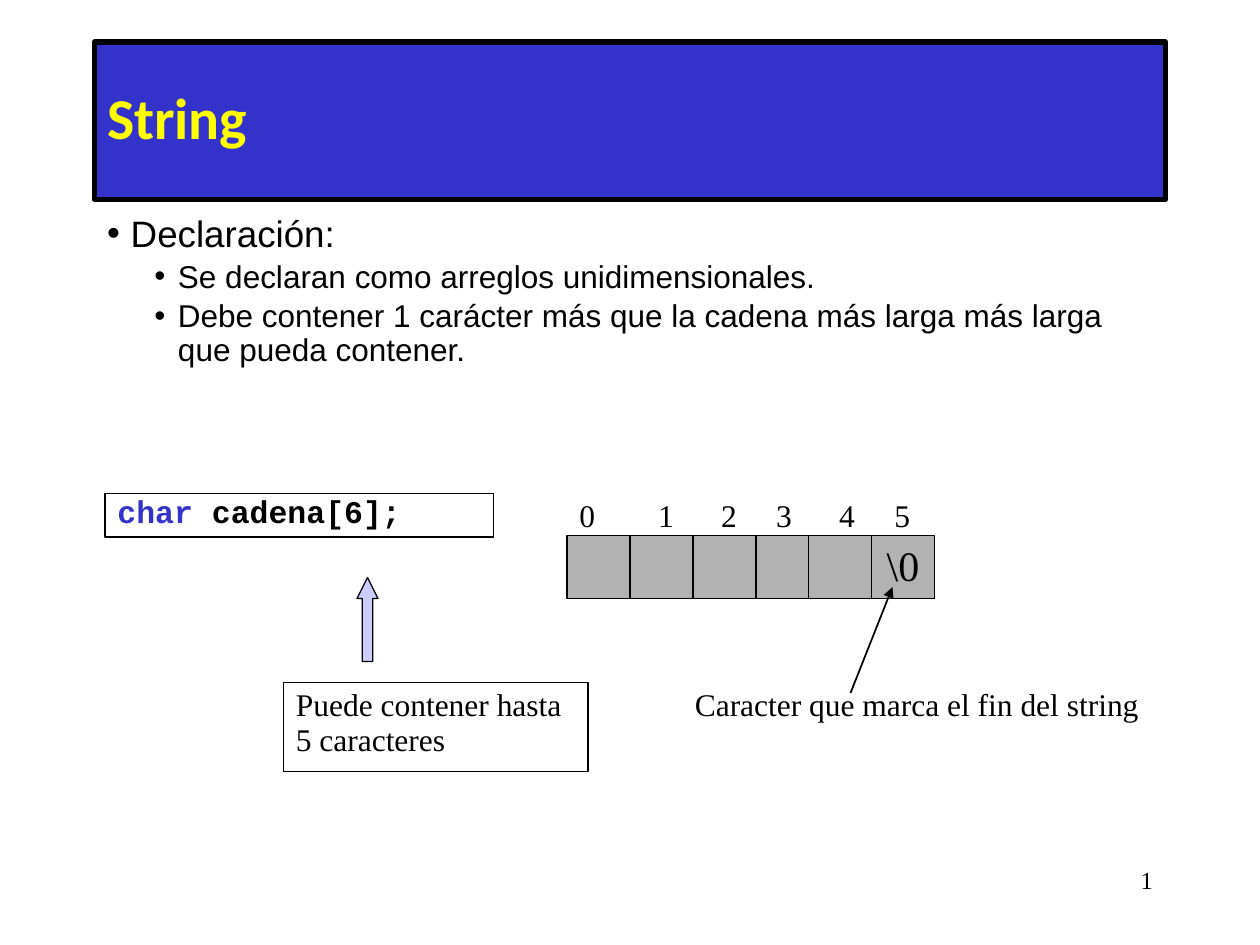
from dataclasses import dataclass

from lxml.etree import SubElement
from pptx import Presentation
from pptx.dml.color import RGBColor
from pptx.enum.shapes import MSO_CONNECTOR as Connector, MSO_SHAPE as Shape
from pptx.enum.text import MSO_ANCHOR as Anchor, MSO_AUTO_SIZE as AutoSize, PP_ALIGN as Align
from pptx.oxml.ns import qn
from pptx.util import Pt


@dataclass(frozen=True)
class Theme:
    """Colours, fonts and type sizes of the slide."""
    ink: str = "000000"
    blue: str = "3333CC"
    yellow: str = "FFFF00"
    cell: str = "B2B2B2"
    lilac: str = "CCCCFF"
    title_font: str = "Calibri"
    body_font: str = "Arial"
    code_font: str = "Courier New"
    note_font: str = "Times New Roman"
    title_size: float = 33
    topic_size: float = 21
    text_size: float = 18
    mark_size: float = 24
    number_size: float = 14


THEME = Theme()


def rgb(colour):
    return RGBColor.from_string(colour)


def place(shape, left, top, width, height):
    shape.left, shape.top, shape.width, shape.height = map(Pt, (left, top, width, height))


def paint(shape, fill=None, width=0.75):
    if fill:
        shape.fill.solid()
        shape.fill.fore_color.rgb = rgb(fill)
    else:
        shape.fill.background()
    shape.line.color.rgb = rgb(THEME.ink)
    shape.line.width = Pt(width)
    shape.shadow.inherit = False


def set_frame(shape, anchor=Anchor.TOP, wrap=True):
    frame = shape.text_frame
    frame.word_wrap = wrap
    frame.auto_size = AutoSize.NONE
    frame.vertical_anchor = anchor
    return frame


def style(paragraph, font, size, colour=THEME.ink, bold=False):
    paragraph.font.name = font
    paragraph.font.size = Pt(size)
    paragraph.font.bold = bold
    paragraph.font.color.rgb = rgb(colour)


def space(paragraph, line, before=0, align=Align.LEFT):
    paragraph.line_spacing = line
    paragraph.space_before = Pt(before)
    paragraph.alignment = align


def add_title(slide, text):
    title = slide.shapes.title
    place(title, 54, 24, 612, 90)
    paint(title, THEME.blue, 3)
    heading = set_frame(title, Anchor.MIDDLE).paragraphs[0]
    heading.text = text
    space(heading, 0.9)
    style(heading, THEME.title_font, THEME.title_size, THEME.yellow, True)


def add_bullets(slide, items):
    body = slide.placeholders[1]
    place(body, 54, 120, 612, 360)
    frame = set_frame(body)
    looks = [(13.5, 7.5, THEME.topic_size), (40.5, 3.7, THEME.text_size)]
    for index, (level, text) in enumerate(items):
        item = frame.add_paragraph() if index else frame.paragraphs[0]
        margin, before, size = looks[level]
        item.text, item.level = text, level
        space(item, 0.88, before)
        props = item._p.get_or_add_pPr()
        props.set("marL", str(Pt(margin)))
        props.set("indent", str(Pt(-13.5)))
        SubElement(props, qn("a:buFont"), typeface=THEME.body_font)
        SubElement(props, qn("a:buChar"), char="•")
        style(item, THEME.body_font, size)


def add_note(slide, text, box, size=THEME.text_size, before=11, align=Align.LEFT, tabs=()):
    label = slide.shapes.add_textbox(*map(Pt, box))
    note = set_frame(label).paragraphs[0]
    note.text = text
    space(note, 0.93, before, align)
    if tabs:
        stops = SubElement(note._p.get_or_add_pPr(), qn("a:tabLst"))
        for position in tabs:
            SubElement(stops, qn("a:tab"), pos=str(Pt(position)), algn="l")
    style(note, THEME.note_font, size)
    return label


def add_code(slide, keyword, rest, box):
    label = slide.shapes.add_textbox(*map(Pt, box))
    paint(label)
    code = set_frame(label).paragraphs[0]
    space(code, 0.8, 11)
    style(code, THEME.code_font, THEME.text_size, bold=True)
    for text, colour in ((keyword, THEME.blue), (rest, THEME.ink)):
        part = code.add_run()
        part.text = text
        part.font.color.rgb = rgb(colour)


def add_cell(slide, left, text=""):
    cell = slide.shapes.add_shape(Shape.ROUNDED_RECTANGLE, *map(Pt, (left, 306, 36, 36)))
    cell.adjustments[0] = 0
    paint(cell, THEME.cell)
    if text:
        mark = set_frame(cell, Anchor.MIDDLE, wrap=False).paragraphs[0]
        mark.text = text
        space(mark, 0.93, align=Align.CENTER)
        style(mark, THEME.note_font, THEME.mark_size)


def add_block_arrow(slide, centre, top):
    outline = [(-3, 48), (-3, 12), (-6, 12), (0, 0), (6, 12), (3, 12), (3, 48)]
    start, *corners = [(centre + x, top + y) for x, y in outline]
    builder = slide.shapes.build_freeform(*start, scale=Pt(1))
    builder.add_line_segments(corners, close=True)
    paint(builder.convert_to_shape(), THEME.lilac)


def add_pointer(slide, start, end):
    pointer = slide.shapes.add_connector(Connector.STRAIGHT, *map(Pt, (*start, *end)))
    pointer.line.color.rgb = rgb(THEME.ink)
    pointer.line.width = Pt(1)
    SubElement(pointer.line._get_or_add_ln(), qn("a:tailEnd"), type="triangle")
    SubElement(pointer._element.spPr, qn("a:effectLst"))


def main():
    deck = Presentation()
    deck.slide_width, deck.slide_height = Pt(720), Pt(540)
    slide = deck.slides.add_slide(deck.slide_layouts[1])
    add_title(slide, "String")
    add_bullets(slide, [
        (0, "Declaración:"),
        (1, "Se declaran como arreglos unidimensionales."),
        (1, "Debe contener 1 carácter más que la cadena más larga más larga que pueda contener."),
    ])
    add_code(slide, "char ", "cadena[6];", (60, 282, 222, 25))
    add_block_arrow(slide, 210, 330)
    paint(add_note(slide, "Puede contener hasta 5 caracteres", (162, 390, 174, 51)))
    add_note(slide, "\t".join(map(str, range(6))), (324, 282, 216, 27),
             tabs=(45, 81, 112.5, 148.5, 180))
    for left in (324, 360, 396, 432, 462):
        add_cell(slide, left)
    add_cell(slide, 498, "\\0")
    add_pointer(slide, (486, 396), (510, 335.5))
    add_note(slide, "Caracter que marca el fin del string", (390, 390, 330, 27))
    add_note(slide, "1", (516, 492, 150, 23), THEME.number_size, 0, Align.RIGHT)
    deck.save("out.pptx")


if __name__ == "__main__":
    main()
